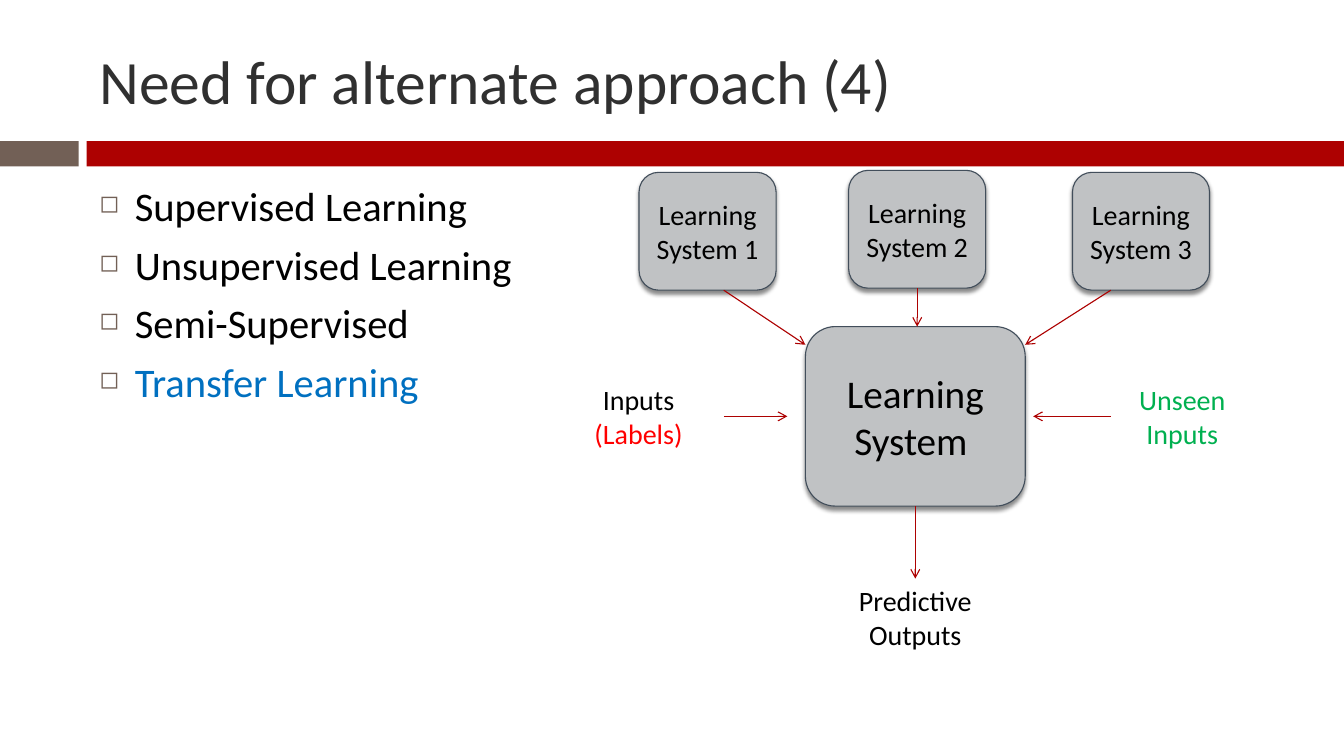
from lxml.etree import SubElement
from pptx import Presentation
from pptx.dml.color import RGBColor
from pptx.enum.shapes import MSO_CONNECTOR as Connector, MSO_SHAPE as Shape
from pptx.enum.text import MSO_ANCHOR as Anchor, PP_ALIGN as Align
from pptx.oxml.ns import qn
from pptx.util import Pt

COLORS = {
    "band": "AD0101", "accent": "726056", "title": "303030", "text": "000000",
    "node": "C0C2C4", "outline": "424E5B", "blue": "0070C0", "red": "FF0000",
    "green": "00B050",
}
FONT = "Calibri"
TOPICS = [("Supervised Learning", "text"), ("Unsupervised Learning", "text"),
          ("Semi-Supervised", "text"), ("Transfer Learning", "blue")]


def color(name):
    """Return the named colour of the palette."""
    return RGBColor.from_string(COLORS[name])


def style(para, size, name, align=Align.LEFT):
    """Set the font and alignment of a paragraph."""
    para.font.name, para.font.size = FONT, Pt(size)
    para.font.color.rgb = color(name)
    para.alignment = align


def add_text(page, box, lines, size, name, align=Align.CENTER, anchor=Anchor.TOP):
    """Add a wrapping text box with one paragraph for each line."""
    shape = page.shapes.add_textbox(*map(Pt, box))
    fill_text(shape.text_frame, lines, size, name, align, anchor)
    return shape


def fill_text(frame, lines, size, name, align, anchor):
    """Write lines into a text frame in one style."""
    frame.word_wrap = True
    frame.vertical_anchor = anchor
    frame.text = "\n".join(lines)
    for para in frame.paragraphs:
        style(para, size, name, align)


def add_header(page, left, top, width, height):
    """Add the title and the two-part band below it."""
    add_text(page, (left + 64, top + 18, width - 104, 78),
             ["Need for alternate approach (4)"], 44, "title", Align.LEFT, Anchor.MIDDLE)
    band_top = top + height - 18
    for start, end, name in [(0, 56.2, "accent"), (61.9, width, "band")]:
        bar = page.shapes.add_shape(Shape.RECTANGLE, Pt(left + start), Pt(band_top),
                                    Pt(end - start), Pt(18))
        bar.shadow.inherit = False
        bar.fill.solid()
        bar.fill.fore_color.rgb = color(name)
        bar.line.fill.background()


def add_topics(page, box):
    """Add the bulleted list of learning approaches."""
    body = add_text(page, box, [topic for topic, _ in TOPICS], 29, "text", Align.LEFT)
    for para, (_, name) in zip(body.text_frame.paragraphs, TOPICS):
        para.font.color.rgb = color(name)
        para.space_before = Pt(7)
        properties = para._p.get_or_add_pPr()
        properties.set("marL", str(Pt(25.2)))
        properties.set("indent", str(-Pt(25.2)))
        bullet = [SubElement(properties, qn(tag)) for tag in ("a:buClr", "a:buSzPct", "a:buChar")]
        SubElement(bullet[0], qn("a:srgbClr"), val=COLORS["accent"])
        bullet[1].set("val", "60000")
        bullet[2].set("char", "◻")
        properties.extend(properties.findall(qn("a:defRPr")))


def add_node(page, box, lines, size):
    """Add a rounded grey box with a soft shadow."""
    node = page.shapes.add_shape(Shape.ROUNDED_RECTANGLE, *map(Pt, box))
    node.shadow.inherit = False
    node.fill.solid()
    node.fill.fore_color.rgb = color("node")
    node.line.color.rgb = color("outline")
    node.line.width = Pt(0.79)
    effects = node._element.spPr.find(qn("a:effectLst"))
    shadow = SubElement(effects, qn("a:outerShdw"), blurRad=str(Pt(3)),
                        dist=str(Pt(2.4)), dir="5400000", rotWithShape="0")
    tint = SubElement(shadow, qn("a:srgbClr"), val="000000")
    SubElement(tint, qn("a:alpha"), val="45000")
    fill_text(node.text_frame, lines, size, "text", Align.CENTER, Anchor.MIDDLE)
    return node


def add_arrow(page, start, end):
    """Add a thin red arrow between two points."""
    arrow = page.shapes.add_connector(Connector.STRAIGHT, *map(Pt, start + end))
    arrow.line.color.rgb = color("band")
    arrow.line.width = Pt(0.79)
    SubElement(arrow.line._get_or_add_ln(), qn("a:tailEnd"), type="arrow")
    SubElement(arrow._element.spPr, qn("a:effectLst"))
    return arrow


def add_diagram(page, left, top, width, height):
    """Add the central system with its sources, inputs and outputs."""
    hub_left, hub_top, hub_width, hub_height = left + 180, top + 111.6, 157, 128.2
    hub_right, hub_bottom = hub_left + hub_width, hub_top + hub_height
    center, middle = hub_left + hub_width / 2, hub_top + hub_height / 2
    label_width, label_height = 102.2, 55.4
    label_top = middle - label_height / 2
    inputs_right, unseen_left = left + 121.7, left + width - label_width

    hub = add_node(page, (hub_left, hub_top, hub_width, hub_height),
                   ["Learning", "System "], 28)
    inputs = add_text(page, (left, label_top, 121.7, label_height), ["Inputs "], 20, "text")
    labels = inputs.text_frame.paragraphs[0].add_run()
    labels.text = "(Labels)"
    labels.font.color.rgb = color("red")
    add_text(page, (unseen_left, label_top, label_width, label_height),
             ["Unseen", "Inputs"], 20, "green")
    outputs = add_text(page, (center - label_width / 2, top + height - label_height,
                              label_width, label_height), ["Predictive Outputs"], 20, "text")

    add_arrow(page, (inputs_right, middle), (inputs_right + 45.4, middle))
    add_arrow(page, (unseen_left, middle), (unseen_left - 55.4, middle))
    result = add_arrow(page, (center, hub_bottom), (center, top + height - label_height))
    result.begin_connect(hub, 2)
    result.end_connect(outputs, 0)

    source_width, source_height = 97.9, 84.2
    sources = [add_node(page, (left + x, top + y, source_width, source_height),
                        ["Learning", f"System {number} "], 20)
               for number, (x, y) in enumerate([(61.2, 1.4), (210.9, 0), (370.8, 1.4)], 1)]
    source_bottom = top + 1.4 + source_height
    add_arrow(page, (inputs_right, source_bottom), (hub_left, hub_top + 13))
    add_arrow(page, (unseen_left, source_bottom), (hub_right, hub_top + 13))
    axis = left + 210.9 + source_width / 2
    feed = add_arrow(page, (axis, top + source_height), (axis, hub_top))
    feed.begin_connect(sources[1], 2)


def main():
    """Build the slide and save the deck."""
    deck = Presentation()
    deck.slide_width, deck.slide_height = Pt(960), Pt(540)
    page = deck.slides.add_slide(deck.slide_layouts[6])
    add_header(page, 0, 0, 960, 118.8)
    add_topics(page, (64, 126, 856, 354))
    add_diagram(page, 395.3, 121.7, 500.3, 347)
    deck.save("out.pptx")


if __name__ == "__main__":
    main()
